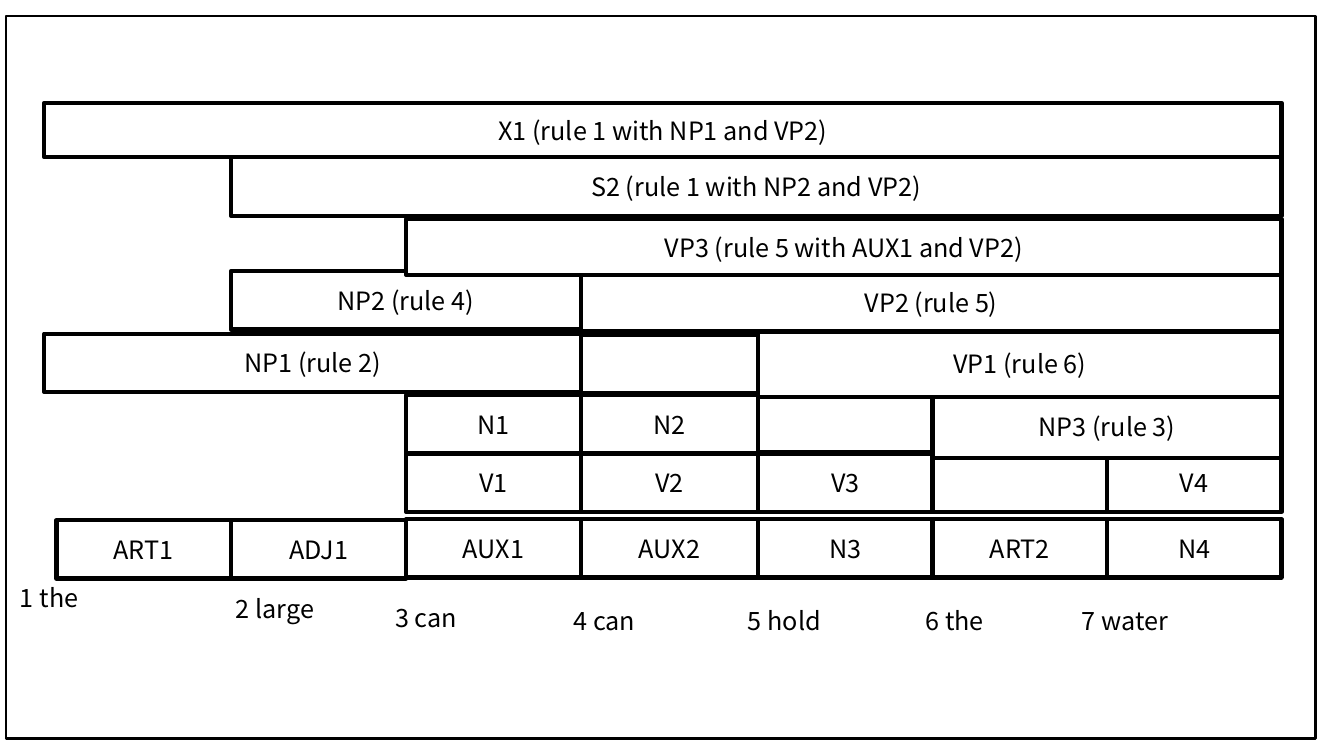
from pptx import Presentation
from pptx.dml.color import RGBColor
from pptx.enum.shapes import MSO_SHAPE
from pptx.enum.text import MSO_ANCHOR, MSO_AUTO_SIZE, PP_ALIGN
from pptx.util import Inches, Pt

RECTANGLE = MSO_SHAPE.RECTANGLE
MIDDLE = MSO_ANCHOR.MIDDLE
GROW = MSO_AUTO_SIZE.SHAPE_TO_FIT_TEXT
LEFT, CENTER = PP_ALIGN.LEFT, PP_ALIGN.CENTER
FONT = "Noto Sans CJK KR"
BLACK, WHITE = "000000", "FFFFFF"

# Word positions 1 to 8 are the boundaries between the seven words
EDGES = [0.56, 2.29, 4.03, 5.76, 7.52, 9.25, 10.98, 12.71]
OUTDENT = 0.12  # NP1 and X1 begin a little left of position 1

# Chart rows from the bottom up: top, height, [(label, from, to)]
ROWS = [
    (5.16, 0.58, [("ART1", 1, 2), ("ADJ1", 2, 3)]),
    (5.15, 0.58, [("AUX1", 3, 4), ("AUX2", 4, 5), ("N3", 5, 6),
                  ("ART2", 6, 7), ("N4", 7, 8)]),
    (4.50, 0.58, [("V1", 3, 4), ("V2", 4, 5), ("V3", 5, 6),
                  ("", 6, 7), ("V4", 7, 8)]),
    (3.92, 0.58, [("N1", 3, 4), ("N2", 4, 5)]),
    (3.92, 0.62, [("NP3 (rule 3)", 6, 8)]),
    (3.91, 0.58, [("", 5, 6)]),
    (3.31, 0.58, [("NP1 (rule 2)", 1, 4)]),
    (2.69, 0.58, [("NP2 (rule 4)", 2, 4)]),
    (3.27, 0.67, [("VP1 (rule 6)", 5, 8)]),
    (3.32, 0.58, [("", 4, 5)]),
    (2.72, 0.57, [("VP2 (rule 5)", 4, 8)]),
    (2.17, 0.56, [("VP3 (rule 5 with AUX1 and VP2)", 3, 8)]),
    (1.56, 0.58, [("S2 (rule 1 with NP2 and VP2)", 2, 8)]),
    (1.02, 0.54, [("X1 (rule 1 with NP1 and VP2)", 1, 8)]),
]

# Sentence words: text, left, top, width
WORDS = [
    ("1 the", 0.10, 5.73, 0.84),
    ("2 large", 2.24, 5.84, 1.20),
    ("3 can", 3.82, 5.93, 0.88),
    ("4 can", 5.59, 5.96, 1.04),
    ("5 hold", 7.32, 5.96, 1.04),
    ("6 the", 9.08, 5.96, 0.92),
    ("7 water", 10.63, 5.96, 1.73),
]


def color(value):
    return RGBColor.from_string(value)


def write(box, text, align):
    frame = box.text_frame
    frame.word_wrap = True
    frame.text = text
    para = frame.paragraphs[0]
    para.alignment = align
    for span in para.runs:
        span.font.name = FONT
        span.font.size = Pt(18)
        span.font.color.rgb = color(BLACK)


def add_box(page, left, top, width, height, line_width, fill=None):
    box = page.shapes.add_shape(RECTANGLE, Inches(left), Inches(top),
                                Inches(width), Inches(height))
    box.shadow.inherit = False
    if fill:
        box.fill.solid()
        box.fill.fore_color.rgb = color(fill)
    else:
        box.fill.background()
    box.line.color.rgb = color(BLACK)
    box.line.width = Pt(line_width)
    return box


deck = Presentation()
deck.slide_width, deck.slide_height = Inches(13.33), Inches(7.5)
page = deck.slides.add_slide(deck.slide_layouts[6])

# Outer frame
add_box(page, 0.06, 0.16, 12.99, 7.17, 2)

# Constituents
for top, height, constituents in ROWS:
    for label, start, end in constituents:
        left, right = EDGES[start - 1], EDGES[end - 1]
        if start == 1 and end > 2:
            left -= OUTDENT
        box = add_box(page, left, top, right - left, height, 3, WHITE)
        if label:
            write(box, label, CENTER)
            box.text_frame.vertical_anchor = MIDDLE

# Numbered words
for text, left, top, width in WORDS:
    box = page.shapes.add_textbox(Inches(left), Inches(top),
                                  Inches(width), Inches(0.4))
    write(box, text, LEFT)
    box.text_frame.auto_size = GROW

deck.save("out.pptx")
